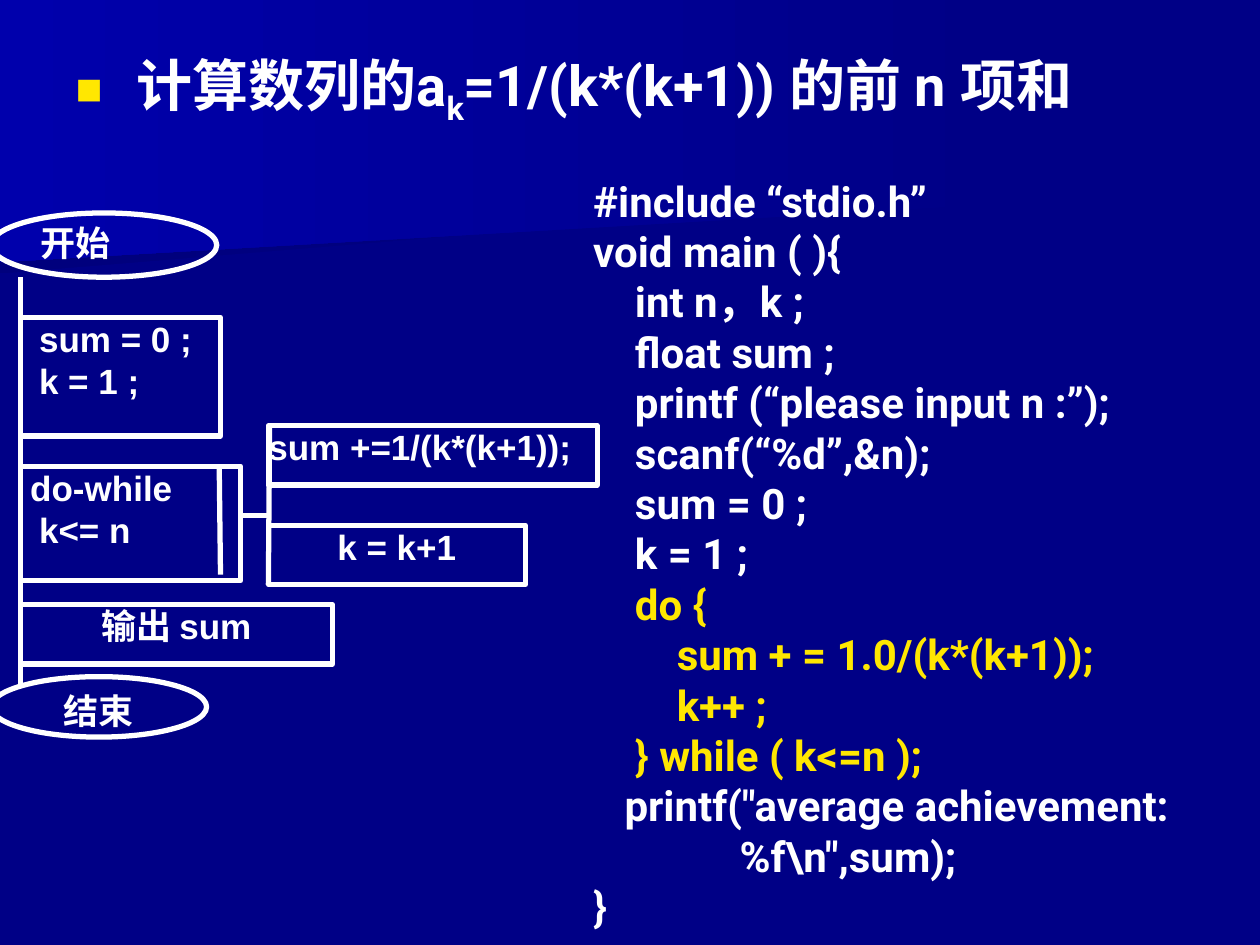
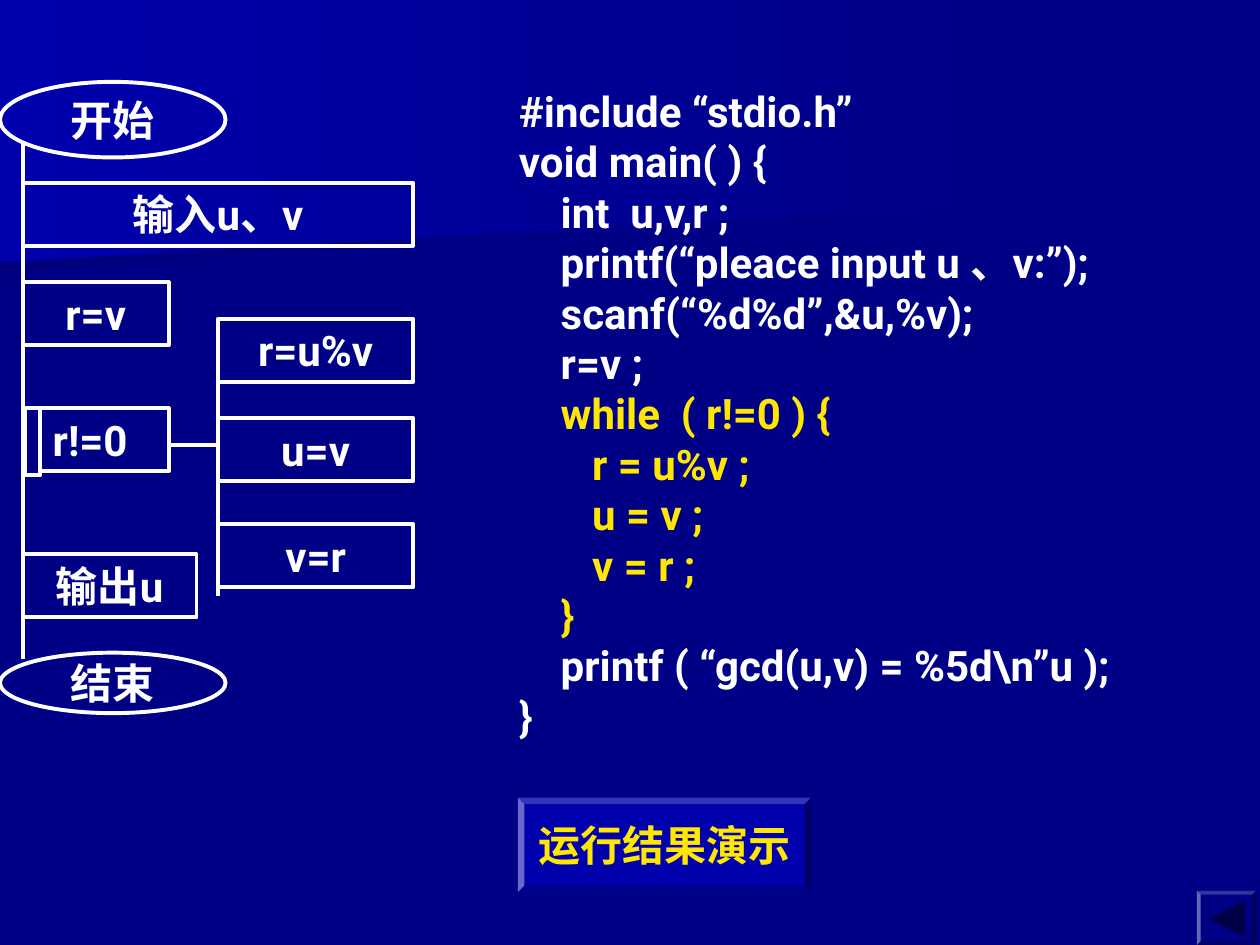
"""Build two slides that pair a flow chart with its C program."""
from dataclasses import dataclass
from lxml.etree import SubElement
from pptx import Presentation
from pptx.dml.color import RGBColor as RGB
from pptx.enum.shapes import MSO_CONNECTOR as LINK, MSO_SHAPE as KIND
from pptx.enum.text import MSO_ANCHOR as ANCHOR, PP_ALIGN as ALIGN
from pptx.oxml.ns import qn
from pptx.util import Inches, Pt


@dataclass(frozen=True)
class Theme:
    back: RGB = RGB(0, 0, 0x86)
    dark: RGB = RGB(0, 0, 0x7D)
    glow: RGB = RGB(0, 0, 0xAC)
    shade: RGB = RGB(0, 0, 0x46)
    ink: RGB = RGB(255, 255, 255)
    hot: RGB = RGB(0xFF, 0xE7, 0x01)
    face: str = "Roboto"
    head: int = 32
    code: int = 24


@dataclass(frozen=True)
class Flow:
    face: str
    size: int
    line: float
    inset: tuple


look = Theme()
tight = Flow("Arial", 20, 3, (0, 0))
roomy = Flow(look.face, look.code, 2.25, (0.1, 0.05))
plain = Flow(look.face, look.code, 0, (0.1, 0.05))
label = Flow("DejaVu Sans Mono", look.code, 0, (0.1, 0.05))


def put(page, kind, at, rows, flow, align=ALIGN.CENTER, anchor=ANCHOR.TOP, hot=()):
    """Add a shape, or a text box if kind is None, with one paragraph per row."""
    area = [Inches(v) for v in at]
    if kind is None:
        item = page.shapes.add_textbox(*area)
    else:
        item = page.shapes.add_shape(kind, *area)
        item.shadow.inherit = False
        item.fill.background()
        if flow.line:
            item.line.color.rgb = look.ink
            item.line.width = Pt(flow.line)
        else:
            item.line.fill.background()
    frame = item.text_frame
    frame.word_wrap = True
    frame.vertical_anchor = anchor
    frame.margin_left = frame.margin_right = Inches(flow.inset[0])
    frame.margin_top = frame.margin_bottom = Inches(flow.inset[1])
    for i, row in enumerate(rows):
        para = frame.add_paragraph() if i else frame.paragraphs[0]
        para.alignment = align
        run = para.add_run()
        run.text = row
        run.font.name, run.font.size, run.font.bold = flow.face, Pt(flow.size), True
        run.font.color.rgb = look.hot if i in hot else look.ink
    return item


def rule(page, x1, y1, x2, y2, flow):
    """Draw a straight white line."""
    line = page.shapes.add_connector(LINK.STRAIGHT, *[Inches(v) for v in (x1, y1, x2, y2)])
    line.line.color.rgb = look.ink
    line.line.width = Pt(flow.line)
    SubElement(line._element.spPr, qn("a:effectLst"))


deck = Presentation()
deck.slide_width, deck.slide_height = Inches(10), Inches(7.5)
series = deck.slides.add_slide(deck.slide_layouts[1])
gcd = deck.slides.add_slide(deck.slide_layouts[6])

master = deck.slide_master
master.background.fill.solid()
master.background.fill.fore_color.rgb = look.back
bands = [
    ([(7.78, 1.53), (0, 2.17), (0, 1.01), (7.79, 1.01)], look.dark),
    ([(7.92, 1.62), (0, 2.08), (0, 0), (7.92, 0)], look.glow),
]
for depth, (dots, tone) in enumerate(bands):
    first, *rest = [(Inches(x), Inches(y)) for x, y in dots]
    pen = series.shapes.build_freeform(*first)
    pen.add_line_segments(rest)
    band = pen.convert_to_shape()
    band.shadow.inherit = False
    band.line.fill.background()
    band.fill.gradient()
    band.fill.gradient_angle = 180
    for stop, hue in zip(band.fill.gradient_stops, (look.back, tone)):
        stop.color.rgb = hue
    master.shapes._spTree.insert(2 + depth, band._element)

title = series.shapes.title._element
title.getparent().remove(title)
head = series.placeholders[1]
head.left, head.top, head.width, head.height = [Inches(v) for v in (0.5, 0.35, 9.47, 0.98)]
para = head.text_frame.paragraphs[0]
props = para._p.get_or_add_pPr()
props.set("marL", str(Inches(0.48)))
props.set("indent", str(-Inches(0.48)))
para.space_before = Pt(0)
tint = SubElement(props, qn("a:buClr"))
SubElement(tint, qn("a:srgbClr")).set("val", str(look.hot))
SubElement(props, qn("a:buSzPct")).set("val", "80000")
SubElement(props, qn("a:buFont")).set("typeface", "Arial")
SubElement(props, qn("a:buChar")).set("char", "■")
for text, base in [("计算数列的a", 0), ("k", -25000), ("=1/(k*(k+1)) 的前 n 项和", 0)]:
    run = para.add_run()
    run.text = text
    run.font.name, run.font.size, run.font.bold = look.face, Pt(look.head), True
    run.font.color.rgb = look.ink
    if base:
        run.font._element.set("baseline", str(base))

left, mid = ALIGN.LEFT, ALIGN.CENTER
steps = [
    ((0.16, 2.52, 1.59, 0.94), ["sum = 0 ;", "k = 1 ;"], left, (0.15, 0.15)),
    ((0.16, 3.7, 1.75, 0.91), ["do-while", "k<= n"], left, (0.08, 0.15)),
    ((0.16, 4.8, 2.48, 0.47), ["输出 sum"], mid, (0,)),
    ((2.13, 3.38, 2.61, 0.47), ["sum +=1/(k*(k+1));"], left, (0,)),
    ((2.13, 4.17, 2.04, 0.47), ["k = k+1"], mid, (0,)),
]
for at, rows, align, pads in steps:
    step = put(series, KIND.RECTANGLE, at, rows, tight, align)
    for para, pad in zip(step.text_frame.paragraphs, pads):
        para._p.get_or_add_pPr().set("marL", str(Inches(pad)))
ends = [
    ((-0.07, 1.69, 1.79, 0.51), (0.32, 1.76, 1.62, 0.38), "开始", left),
    ((-0.07, 5.37, 1.71, 0.48), (-0.07, 5.47, 1.71, 0.5), "结束", mid),
]
for oval, at, text, align in ends:
    put(series, KIND.OVAL, oval, [], tight)
    put(series, None, at, [text], tight, align)
for ray in [(1.74, 3.7, 1.75, 4.56), (1.91, 4.09, 2.13, 4.09),
            (2.13, 4.64, 2.14, 3.38), (0.16, 2.2, 0.16, 5.43)]:
    rule(series, *ray, tight)

code = r'''#include “stdio.h”
void main ( ){
    int n，k ;
    float sum ;
    printf (“please input n :”);
    scanf(“%d”,&n);
    sum = 0 ;
    k = 1 ;
    do {
        sum + = 1.0/(k*(k+1));
        k++ ;
    } while ( k<=n );
   printf("average achievement:
              %f\n",sum);
}'''
put(series, None, (4.61, 1.34, 5.36, 6.1), code.splitlines(), plain, left, hot=range(8, 12))

for top, tall, text in [(0.65, 0.6, "开始"), (5.18, 0.48, "结束")]:
    put(gcd, KIND.OVAL, (0, top, 1.79, tall), [text], roomy, anchor=ANCHOR.MIDDLE)
for x, y, wide, text, align in [
    (0.18, 1.45, 3.1, "输入u、v", mid),
    (0.18, 2.24, 1.16, "r=v", mid),
    (0.32, 3.24, 1.02, "r!=0", left),
    (0.18, 4.4, 1.38, "输出u", mid),
    (1.73, 2.53, 1.55, "r=u%v", mid),
    (1.73, 3.32, 1.55, "u=v", mid),
    (1.73, 4.16, 1.55, "v=r", mid),
]:
    put(gcd, KIND.RECTANGLE, (x, y, wide, 0.5), [text], roomy, align)
put(gcd, KIND.RECTANGLE, (0.2, 3.24, 0.12, 0.53), [], roomy)
for ray in [(0.18, 1.12, 0.18, 5.23), (1.34, 3.53, 1.73, 3.53), (1.73, 2.53, 1.73, 4.73)]:
    rule(gcd, *ray, roomy)

code = r'''#include “stdio.h”
void main( ) {
    int  u,v,r ;
    printf(“pleace input u 、v:”);
    scanf(“%d%d”,&u,%v);
    r=v ;
    while  ( r!=0 ) {
       r = u%v ;
       u = v ;
       v = r ;
    }
    printf ( “gcd(u,v) = %5d\n”u );
}'''
put(gcd, None, (4.02, 0.63, 5.68, 5.7), code.splitlines(), plain, left, hot=range(6, 11))

for at, rows, tone in [((4.11, 6.33, 2.33, 0.75), ["运行结果演示"], look.glow),
                       ((9.5, 7.07, 0.47, 0.43), [], look.back)]:
    key = put(gcd, KIND.BEVEL, at, rows, label, anchor=ANCHOR.MIDDLE, hot=(0,))
    key.adjustments[0] = 0.07
    key.fill.solid()
    key.fill.fore_color.rgb = tone
pen = gcd.shapes.build_freeform(Inches(9.59), Inches(7.29))
pen.add_line_segments([(Inches(9.88), Inches(y)) for y in (7.15, 7.44)])
arrow = pen.convert_to_shape()
arrow.shadow.inherit = False
arrow.fill.solid()
arrow.fill.fore_color.rgb = look.shade
arrow.line.fill.background()

deck.save("out.pptx")
